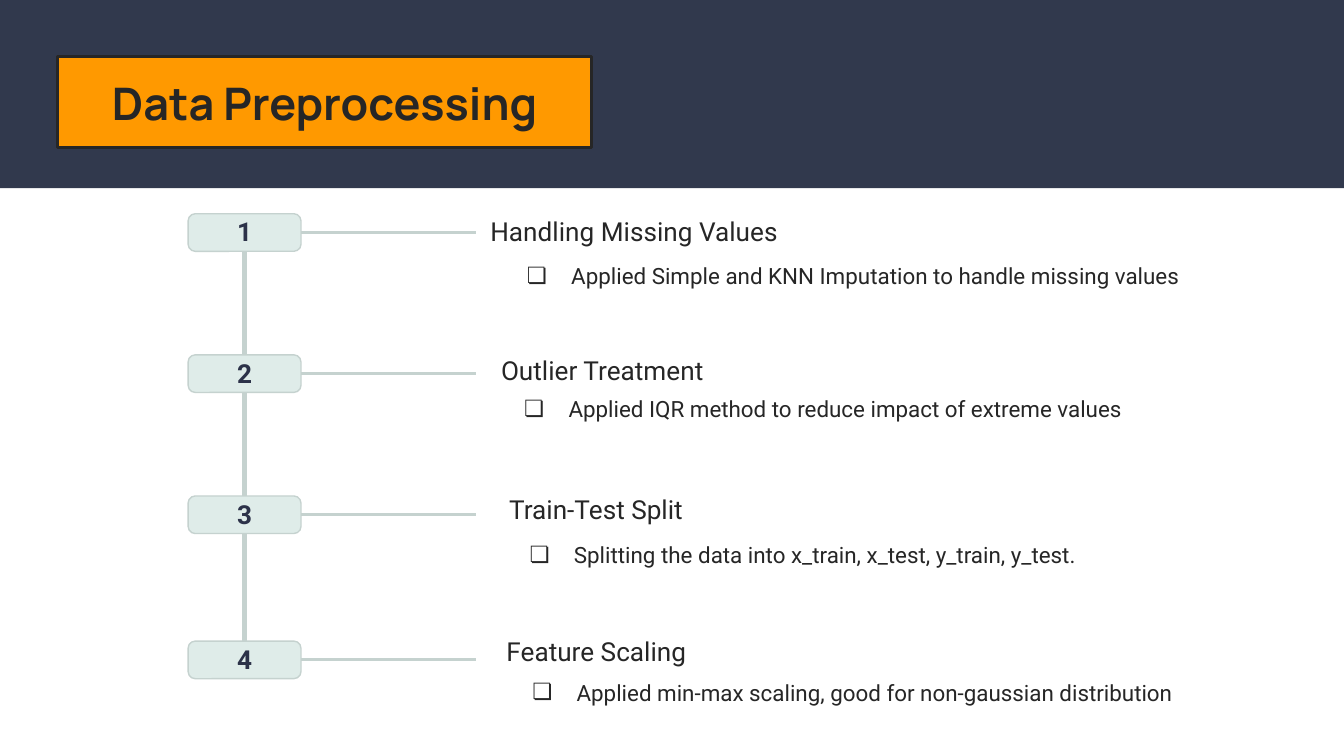
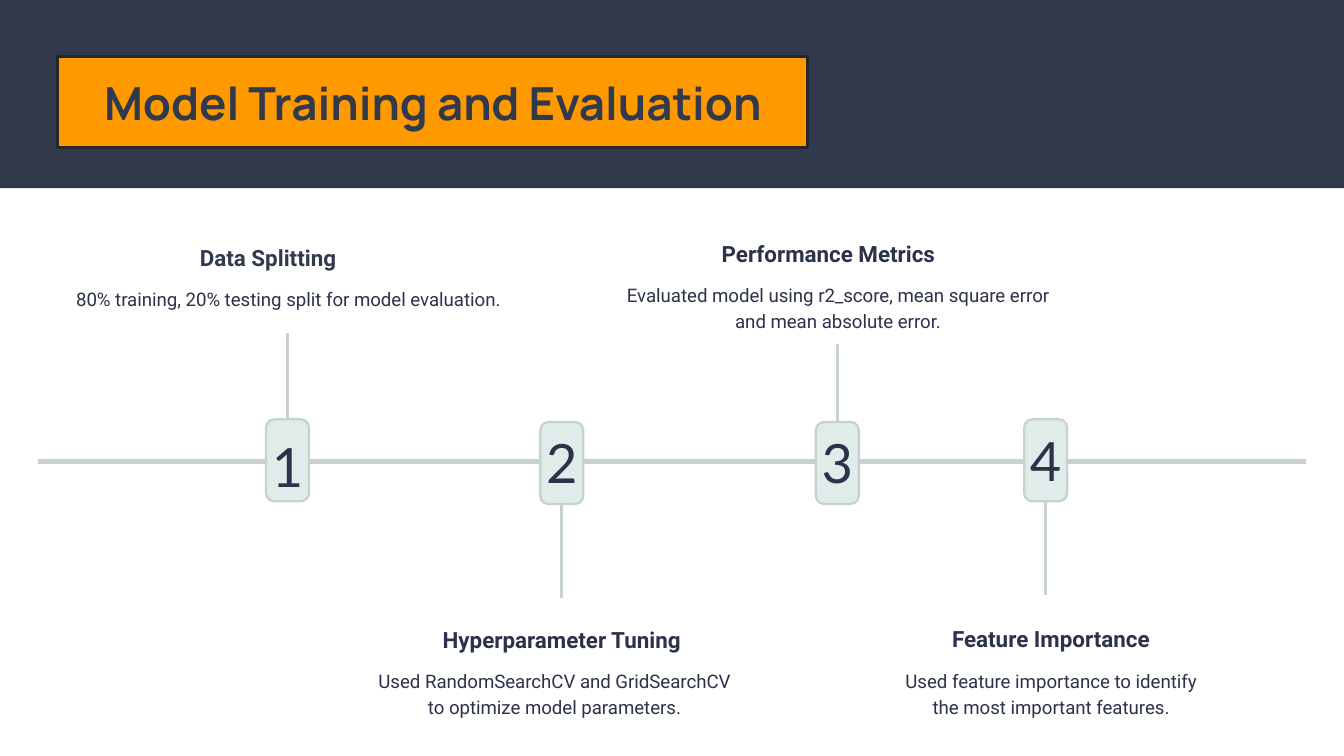
from dataclasses import dataclass

from lxml.etree import SubElement
from pptx import Presentation
from pptx.dml.color import RGBColor
from pptx.enum.shapes import MSO_CONNECTOR as Connector, MSO_SHAPE as Preset
from pptx.enum.text import MSO_ANCHOR as Anchor, MSO_AUTO_SIZE as AutoSize, PP_ALIGN as Align
from pptx.oxml.ns import qn
from pptx.util import Inches, Pt

# Square grid: 100 columns across, 56.25 rows down
COLUMNS, ROWS = 100, 56.25
SLIDE_WIDTH = Inches(10)
CELL = SLIDE_WIDTH / COLUMNS
TOP, LEFT, BOTTOM, RIGHT = range(4)  # connection sites of a rectangle


@dataclass(frozen=True)
class Theme:
    band: str = "31394D"
    accent: str = "FF9900"
    ink: str = "262626"
    navy: str = "2C3249"
    box: str = "DFECE9"
    line: str = "C5D2CF"
    title_font: str = "Manrope"
    text_font: str = "Roboto"
    digit_font: str = "Lato"
    title_size: float = 24
    digit_size: float = 29
    heading_size: float = 14
    note_size: float = 12
    detail_size: float = 10
    spine_width: float = 2.4
    stem_width: float = 1.5


THEME = Theme()

# Number, heading and note: (text, left column, top row, columns)
STEPS = [
    (15.9, ("Handling Missing Values", 35.5, 15, 25.3),
     ("Applied Simple and KNN Imputation to handle missing values", 36.5, 18.5, 53.2)),
    (26.4, ("Outlier Treatment", 36.3, 25.4, 18),
     ("Applied IQR method to reduce impact of extreme values", 36.3, 28.4, 50.1)),
    (36.9, ("Train-Test Split", 36.9, 35.7, 16.1),
     ("Splitting the data into x_train, x_test, y_train, y_test.", 36.7, 39.3, 55.3)),
    (47.7, ("Feature Scaling", 36.7, 46.3, 18),
     ("Applied min-max scaling, good for non-gaussian distribution", 36.9, 49.5, 55.3)),
]

# Box column and row, digit drop, stem side and end row, heading colour, heading, detail
MILESTONES = [
    (19.8, 31.2, 0.9, TOP, 24.8, THEME.band, ("Data Splitting", 10.8, 17.7, 18.3),
     (["80% training, 20% testing split for model evaluation."], 4.1, 21.2, 34.7)),
    (40.2, 31.4, 0.4, BOTTOM, 44.5, THEME.navy, ("Hyperparameter Tuning", 30.7, 46.1, 22.2),
     (["Used RandomSearchCV and GridSearchCV", "to optimize model parameters."],
      21.8, 49.6, 38.9)),
    (60.7, 31.4, 0.4, TOP, 25.6, THEME.navy, ("Performance Metrics", 51.3, 17.4, 20.7),
     (["Evaluated model using r2_score, mean square error", "and mean absolute error."],
      43.6, 20.9, 37.5)),
    (76.2, 31.2, 0.4, BOTTOM, 44.3, THEME.navy, ("Feature Importance", 67.1, 46, 22.2),
     (["Used feature importance to identify", "the most important features."],
      58.1, 49.6, 40.2)),
]


def cells(*counts):
    return [round(count * CELL) for count in counts]


def apply(target, values):
    for name, value in values.items():
        setattr(target, name, value)


def text_style(size, color, name=THEME.text_font, bold=False):
    return {"size": Pt(size), "name": name, "bold": bold}, RGBColor.from_string(color)


def write(shape, lines, style, align=Align.CENTER, spacing=1.0, margin=0.0,
          anchor=Anchor.TOP, drop=0.0, bullet=None):
    """Fill a shape with formatted paragraphs."""
    frame = shape.text_frame
    inset, top = cells(margin, margin + drop)
    apply(frame, {"word_wrap": True, "auto_size": AutoSize.NONE, "vertical_anchor": anchor,
                  "margin_left": inset, "margin_right": inset,
                  "margin_top": top, "margin_bottom": inset})
    font_values, color = style
    for number, line in enumerate(lines):
        paragraph = frame.add_paragraph() if number else frame.paragraphs[0]
        apply(paragraph, {"alignment": align, "line_spacing": spacing, "space_before": Pt(0)})
        if bullet:
            add_bullet(paragraph, bullet, color)
        run = paragraph.add_run()
        run.text = line
        apply(run.font, font_values)
        run.font.color.rgb = color


def add_bullet(paragraph, character, color):
    properties = paragraph._p.get_or_add_pPr()
    properties.set("marL", str(Inches(0.5)))
    properties.set("indent", str(Inches(-0.33)))
    bullet_color = SubElement(properties, qn("a:buClr"))
    SubElement(bullet_color, qn("a:srgbClr"), val=str(color))
    SubElement(properties, qn("a:buChar"), char=character)


def paint(shape, fill, line=None, width=0.75):
    shape.fill.solid()
    shape.fill.fore_color.rgb = RGBColor.from_string(fill)
    if line:
        shape.line.color.rgb = RGBColor.from_string(line)
        shape.line.width = Pt(width)
    else:
        shape.line.fill.background()


def add_text(slide, box, lines, style, **layout):
    shape = slide.shapes.add_textbox(*cells(*box))
    write(shape, lines, style, **layout)


def add_number_box(slide, box, digit, style, width, drop=0.0):
    shape = slide.shapes.add_shape(Preset.ROUNDED_RECTANGLE, *cells(*box))
    shape.shadow.inherit = False
    shape.adjustments[0] = 0.19
    paint(shape, THEME.box, THEME.line, width)
    write(shape, [str(digit)], style, drop=drop)
    return shape


def add_line(slide, begin, end, width, begin_at=None, end_at=None):
    """Draw a straight line; begin_at and end_at are (shape, site) pairs."""
    connector = slide.shapes.add_connector(Connector.STRAIGHT, *cells(*begin, *end))
    connector.line.color.rgb = RGBColor.from_string(THEME.line)
    connector.line.width = Pt(width)
    SubElement(connector._element.spPr, qn("a:effectLst"))
    if begin_at:
        connector.begin_connect(*begin_at)
    if end_at:
        connector.end_connect(*end_at)


def add_title(slide, text, columns, color, size=THEME.title_size):
    """Turn the title placeholder into the rounded orange label."""
    title = slide.shapes.title
    title.left, title.top, title.width, title.height = cells(4.3, 4.2, columns, 6.8)
    geometry = SubElement(title._element.spPr, qn("a:prstGeom"), prst="roundRect")
    SubElement(geometry, qn("a:avLst"))
    paint(title, THEME.accent, THEME.ink, 1.5)
    write(title, [text], text_style(size, color, THEME.title_font, True),
          margin=1, anchor=Anchor.MIDDLE)


def add_master_band(presentation, slide):
    """Make the dark header band and move it to the master, behind everything."""
    band = slide.shapes.add_shape(Preset.RECTANGLE, *cells(0, 0, COLUMNS, 14))
    band.shadow.inherit = False
    paint(band, THEME.band)
    presentation.slide_master.shapes._spTree.insert(2, band._element)


def build_preprocessing(slide):
    add_title(slide, "Data Preprocessing", 39.7, THEME.ink)
    digit_style = text_style(THEME.heading_size, THEME.navy, bold=True)
    heading_style = text_style(THEME.heading_size, THEME.ink)
    note_style = text_style(THEME.note_size, THEME.ink)
    notes = [item for item in slide.placeholders if item.placeholder_format.idx > 0]
    previous = None
    for number, (step, note) in enumerate(zip(STEPS, notes), 1):
        row, (heading, left, top, columns), (text, note_left, note_top, note_columns) = step
        box = add_number_box(slide, (14, row, 8.4, 2.8), number, digit_style, 0.75)
        middle = row + 1.4
        add_line(slide, (22.4, middle), (35.4, middle), THEME.stem_width, (box, RIGHT))
        if previous:
            add_line(slide, (18.2, row), (18.2, row), THEME.spine_width,
                     (previous, BOTTOM), (box, TOP))
        previous = box
        add_text(slide, (left, top, columns, 4.4), [heading], heading_style,
                 align=Align.LEFT, margin=1)
        # Bulleted note in a body placeholder
        note.left, note.top, note.width, note.height = cells(note_left, note_top, note_columns, 4)
        write(note, [text], note_style, align=Align.LEFT, margin=1, bullet="❏")


def build_training(slide):
    add_title(slide, "Model Training and Evaluation", 55.8, THEME.band, 24.4)
    add_line(slide, (2.8, 34.35), (97.2, 34.35), THEME.spine_width)
    digit_style = text_style(THEME.digit_size, THEME.navy, THEME.digit_font)
    detail_style = text_style(THEME.detail_size, THEME.navy)
    for number, milestone in enumerate(MILESTONES, 1):
        column, row, drop, side, stem_end, color, heading_item, detail_item = milestone
        box = add_number_box(slide, (column, row, 3.2, 6.1), number, digit_style, 1.2, drop)
        center = column + 1.6
        add_line(slide, (center, row), (center, stem_end), THEME.stem_width, (box, side))
        heading, left, top, columns = heading_item
        add_text(slide, (left, top, columns, 3.1), [heading],
                 text_style(THEME.note_size, color, bold=True), spacing=1.25)
        lines, left, top, columns = detail_item
        add_text(slide, (left, top, columns, 2 * len(lines)), lines, detail_style, spacing=1.15)


def main():
    presentation = Presentation()
    presentation.slide_width = SLIDE_WIDTH
    presentation.slide_height = round(ROWS * CELL)
    layouts = presentation.slide_layouts
    preprocessing = presentation.slides.add_slide(layouts.get_by_name("Comparison"))
    training = presentation.slides.add_slide(layouts.get_by_name("Title Only"))
    add_master_band(presentation, preprocessing)
    build_preprocessing(preprocessing)
    build_training(training)
    presentation.save("out.pptx")


if __name__ == "__main__":
    main()
